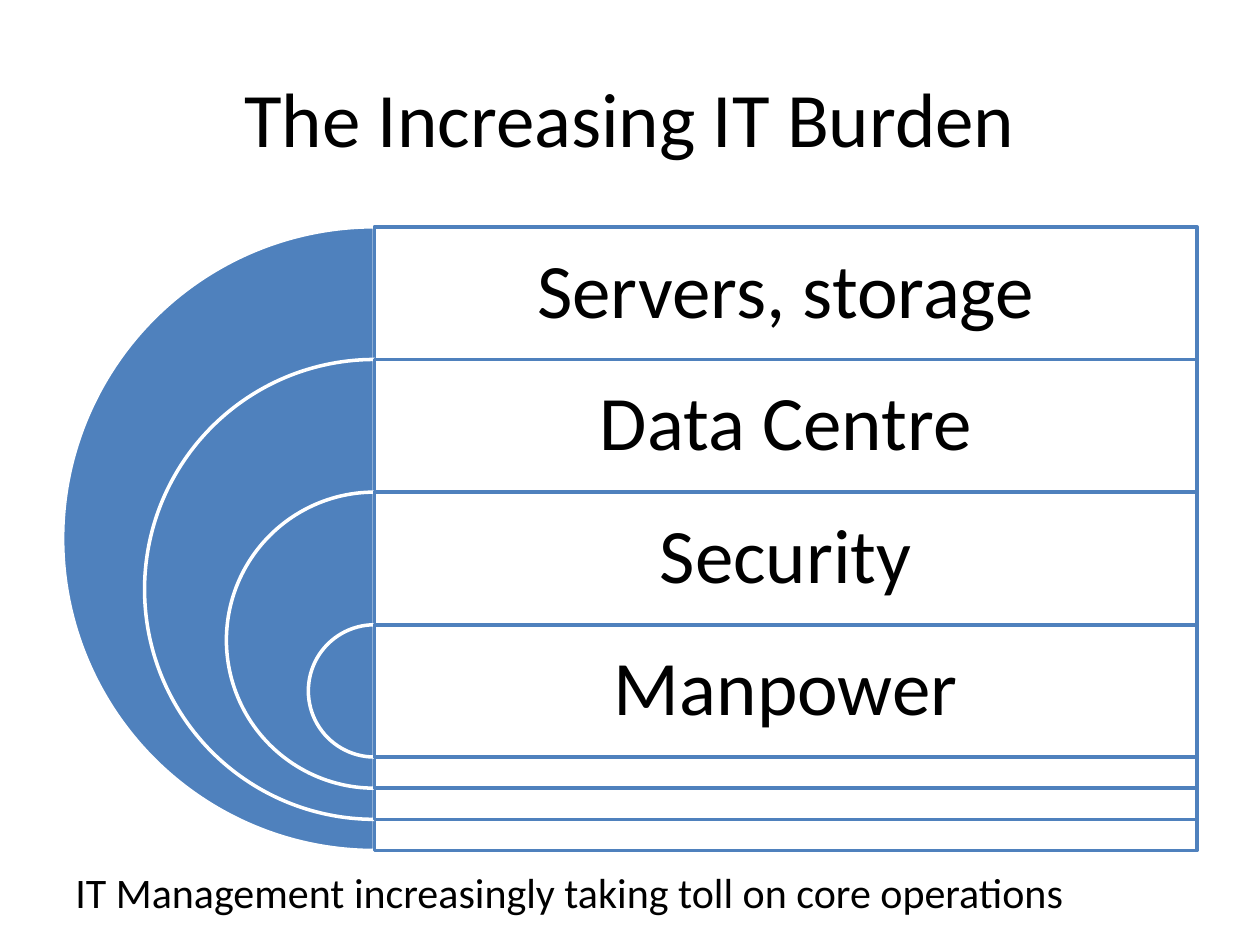
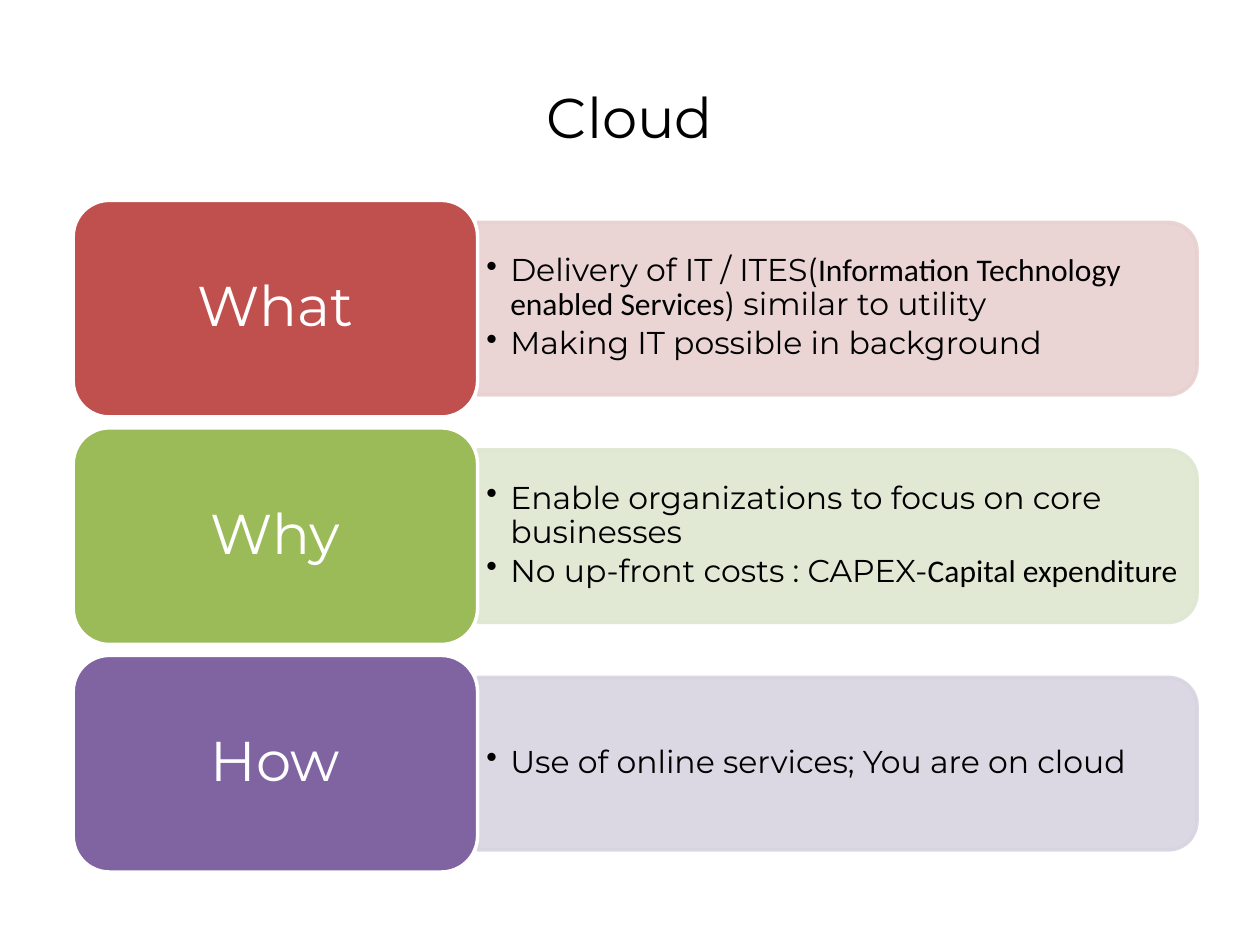
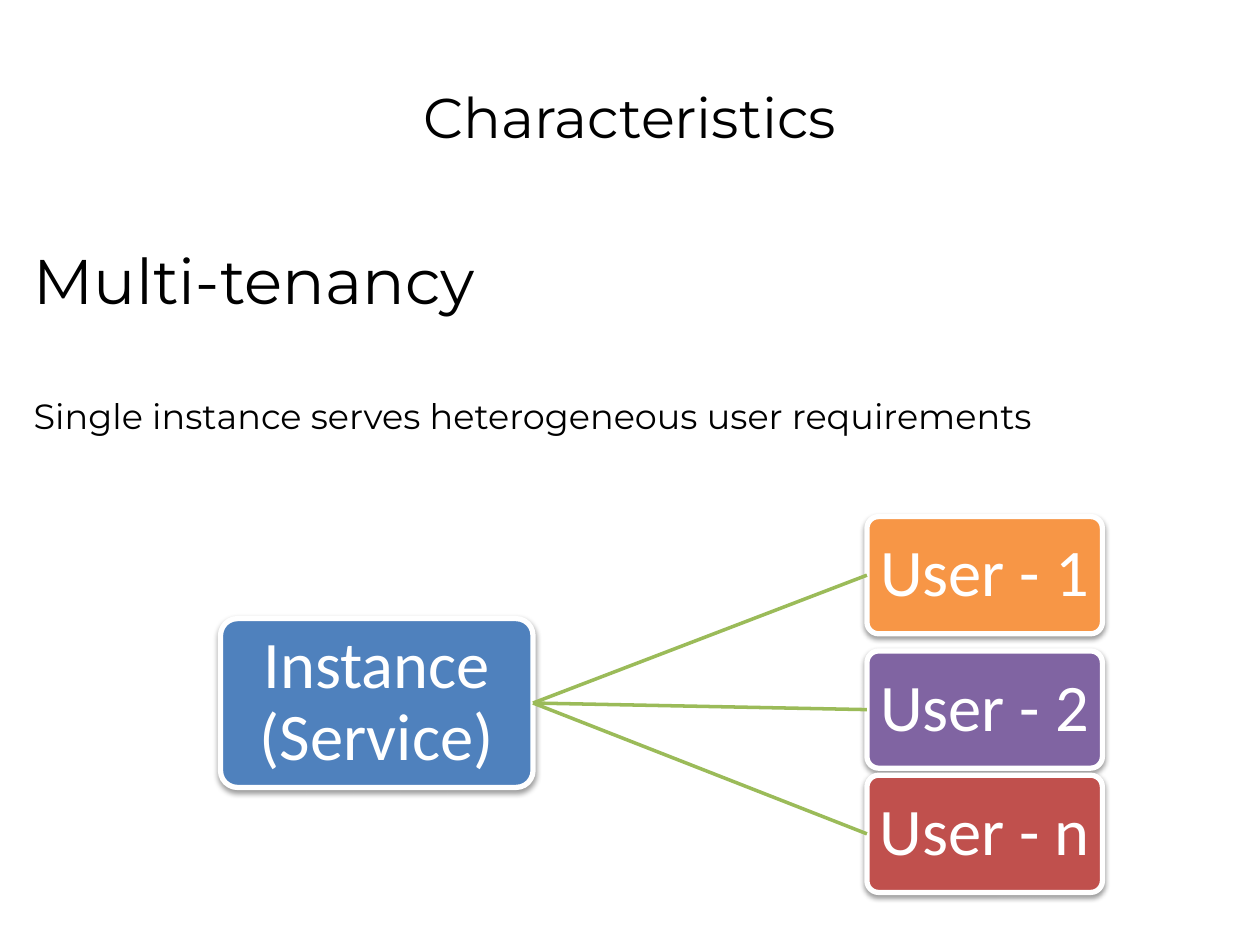
"""Build three slides on the IT burden, the cloud and multi-tenancy."""
from dataclasses import dataclass
from typing import Optional

from lxml.etree import SubElement
from pptx import Presentation
from pptx.dml.color import RGBColor
from pptx.enum.shapes import MSO_CONNECTOR, MSO_SHAPE
from pptx.enum.text import MSO_ANCHOR, PP_ALIGN
from pptx.oxml.ns import qn
from pptx.util import Pt

COLORS = {
    "black": "000000",
    "white": "FFFFFF",
    "blue": "4F81BD",
    "red": "C0504D",
    "green": "9BBB59",
    "purple": "8064A2",
    "orange": "F79646",
    "pale red": "E8D0D0",
    "pale green": "DEE7D1",
    "pale purple": "D8D3E0",
}
CALIBRI = "Calibri"
MONTSERRAT = "Montserrat"


@dataclass(frozen=True)
class Box:
    left: float
    top: float
    width: float
    height: float


@dataclass(frozen=True)
class TextStyle:
    size: float
    font: str = CALIBRI
    color: str = "black"
    align: PP_ALIGN = PP_ALIGN.CENTER
    anchor: MSO_ANCHOR = MSO_ANCHOR.MIDDLE
    line_spacing: Optional[float] = None
    insets: tuple[float, float] = (7.2, 3.6)
    bullet_indent: float = 0
    space_after: float = 0


@dataclass(frozen=True)
class Line:
    runs: tuple[tuple[str, Optional[str]], ...]
    size: Optional[float] = None
    space_before: float = 0


@dataclass(frozen=True)
class Topic:
    label: str
    color: str
    panel_color: str
    lines: tuple[Line, ...]


@dataclass(frozen=True)
class User:
    name: str
    color: str
    top: float


TITLE_BOX = Box(36, 21.6, 648, 90)
BURDENS = ("Servers, storage", "Data Centre", "Security", "Manpower")
BURDEN_STYLE = TextStyle(44, line_spacing=0.9, insets=(13, 13))
CAPTION_STYLE = TextStyle(24, align=PP_ALIGN.LEFT, anchor=MSO_ANCHOR.TOP)
TOPICS = (
    Topic("What", "red", "pale red", (
        Line((("Delivery of IT / ITES(", None),
              ("Information Technology enabled Services", CALIBRI),
              (") similar to utility", None))),
        Line((("Making IT possible in background", None),)),
    )),
    Topic("Why", "green", "pale green", (
        Line((("Enable organizations to focus on core businesses", None),)),
        Line((("No up-front costs : CAPEX-", None),
              ("Capital expenditure", CALIBRI))),
    )),
    Topic("How", "purple", "pale purple", (
        Line((("Use of online services; You are on cloud", None),)),
    )),
)
TOPIC_STYLE = TextStyle(32, MONTSERRAT, "white", line_spacing=0.9)
DETAIL_STYLE = TextStyle(18, MONTSERRAT, align=PP_ALIGN.LEFT, line_spacing=0.9,
                         insets=(5, 2.9), bullet_indent=13.7, space_after=2.7)
USERS = (
    User("User - 1", "orange", 295.2),
    User("User - 2", "purple", 372),
    User("User - n", "red", 443),
)
NODE_STYLE = TextStyle(38, color="white", line_spacing=0.9, insets=(2.2, 2.2))
BODY_STYLE = TextStyle(36, MONTSERRAT, align=PP_ALIGN.LEFT, anchor=MSO_ANCHOR.TOP)


def plain(text: str, size: Optional[float] = None, space_before: float = 0) -> Line:
    """Return a line made of a single run."""
    return Line(((text, None),), size, space_before)


def write_text(shape, lines: tuple[Line, ...], style: TextStyle) -> None:
    """Fill the text frame of a shape, run by run."""
    frame = shape.text_frame
    frame.word_wrap = True
    frame.vertical_anchor = style.anchor
    frame.margin_left = frame.margin_right = Pt(style.insets[0])
    frame.margin_top = frame.margin_bottom = Pt(style.insets[1])
    for index, line in enumerate(lines):
        paragraph = frame.add_paragraph() if index else frame.paragraphs[0]
        if style.bullet_indent:
            properties = paragraph._p.get_or_add_pPr()
            indent = Pt(style.bullet_indent)
            properties.set("marL", str(indent))
            properties.set("indent", str(-indent))
            SubElement(properties, qn("a:buChar")).set("char", "•")
        paragraph.alignment = style.align
        if style.line_spacing:
            paragraph.line_spacing = style.line_spacing
        if style.space_after:
            paragraph.space_after = Pt(style.space_after)
        if line.space_before:
            paragraph.space_before = Pt(line.space_before)
        for text, font_name in line.runs:
            run = paragraph.add_run()
            run.text = text
            run.font.name = font_name or style.font
            run.font.size = Pt(line.size or style.size)
            run.font.color.rgb = RGBColor.from_string(COLORS[style.color])


def add_text(slide, box: Box, lines: tuple[Line, ...], style: TextStyle) -> None:
    """Add a text box."""
    shape = slide.shapes.add_textbox(
        Pt(box.left), Pt(box.top), Pt(box.width), Pt(box.height))
    write_text(shape, lines, style)


def add_title(slide, text: str, size: float, font: str) -> None:
    """Add the centred slide title."""
    add_text(slide, TITLE_BOX, (plain(text),), TextStyle(size, font))


def set_opacity(fill_format, percent: int) -> None:
    """Make a solid fill partly transparent."""
    color = fill_format._xPr.find(qn("a:solidFill"))[0]
    SubElement(color, qn("a:alpha")).set("val", str(percent * 1000))


def add_figure(slide, preset: MSO_SHAPE, box: Box, fill: str, line: str,
               line_width: float = 2, adjustments: tuple[float, ...] = ()):
    """Add a preset shape with a solid fill and outline."""
    shape = slide.shapes.add_shape(
        preset, Pt(box.left), Pt(box.top), Pt(box.width), Pt(box.height))
    shape.shadow.inherit = False
    shape.fill.solid()
    shape.fill.fore_color.rgb = RGBColor.from_string(COLORS[fill])
    shape.line.color.rgb = RGBColor.from_string(COLORS[line])
    shape.line.width = Pt(line_width)
    for index, value in enumerate(adjustments):
        shape.adjustments[index] = value
    return shape


def add_node(slide, box: Box, text: str, color: str):
    """Add a rounded diagram node with a soft shadow."""
    node = add_figure(slide, MSO_SHAPE.ROUNDED_RECTANGLE, box, color, "white", 3, (0.1,))
    effects = node._element.spPr.find(qn("a:effectLst"))
    shadow = SubElement(effects, qn("a:outerShdw"), blurRad=str(Pt(3.1)),
                        dist=str(Pt(1.6)), dir="5400000", rotWithShape="0")
    color_element = SubElement(shadow, qn("a:srgbClr"), val=COLORS["black"])
    SubElement(color_element, qn("a:alpha"), val="38000")
    write_text(node, (plain(text),), NODE_STYLE)
    return node


def add_link(slide, source, target) -> None:
    """Join the right side of one node to the left side of another."""
    connector = slide.shapes.add_connector(MSO_CONNECTOR.STRAIGHT, 0, 0, 0, 0)
    connector.begin_connect(source, 3)
    connector.end_connect(target, 1)
    connector.line.color.rgb = RGBColor.from_string(COLORS["green"])
    connector.line.width = Pt(2)
    SubElement(connector._element.spPr, qn("a:effectLst"))


def build_burden_slide(slide) -> None:
    """Draw nested half circles with one band per burden."""
    add_title(slide, "The Increasing IT Burden", 44, CALIBRI)
    center, first_top, band_height, band_width = 214, 129.6, 75.8, 470
    for index, burden in enumerate(BURDENS):
        top = first_top + index * band_height
        diameter = 356.4 - index * 93.6
        add_figure(slide, MSO_SHAPE.PIE,
                   Box(center - diameter / 2, top, diameter, diameter),
                   "blue", "white", adjustments=(54, 162))
        band = add_figure(slide, MSO_SHAPE.RECTANGLE,
                          Box(center, top, band_width, diameter), "white", "blue")
        set_opacity(band.fill, 90)
        add_text(slide, Box(center, top, band_width, band_height),
                 (plain(burden),), BURDEN_STYLE)
    add_text(slide, Box(36, 491.8, 660, 48),
             (plain("IT Management increasingly taking toll on core operations"),),
             CAPTION_STYLE)


def build_cloud_slide(slide) -> None:
    """Draw a label and a detail panel for each topic."""
    add_title(slide, "Cloud", 32, MONTSERRAT)
    label_left, label_width, label_height = 41.8, 231.1, 123.8
    panel_left, panel_width, panel_height = 272.9, 411.1, 98.6
    for index, topic in enumerate(TOPICS):
        top = 114.5 + index * 130
        middle = top + label_height / 2
        panel = add_figure(
            slide, MSO_SHAPE.ROUND_2_SAME_RECTANGLE,
            Box(panel_left + (panel_width - panel_height) / 2,
                middle - panel_width / 2, panel_height, panel_width),
            topic.panel_color, topic.panel_color)
        panel.rotation = 90
        set_opacity(panel.fill, 90)
        set_opacity(panel.line.fill, 90)
        add_text(slide, Box(panel_left, middle - 45, 406, 89.3), topic.lines, DETAIL_STYLE)
        label = add_figure(slide, MSO_SHAPE.ROUNDED_RECTANGLE,
                           Box(label_left, top, label_width, label_height),
                           topic.color, "white")
        write_text(label, (plain(topic.label),), TOPIC_STYLE)


def build_characteristics_slide(slide) -> None:
    """Draw one service instance linked to its users."""
    add_title(slide, "Characteristics", 32, MONTSERRAT)
    add_text(slide, Box(12.2, 134.6, 686.9, 118.8),
             (plain("Multi-tenancy"),
              plain("Single instance serves heterogeneous user requirements", 20, 43.9)),
             BODY_STYLE)
    instance = add_node(slide, Box(126, 353.5, 178.6, 96.5), "Instance (Service)", "blue")
    for user in USERS:
        node = add_node(slide, Box(495.4, user.top, 134.6, 67), user.name, user.color)
        add_link(slide, instance, node)


def main() -> None:
    """Build and save the presentation."""
    presentation = Presentation()
    presentation.slide_width = Pt(720)
    presentation.slide_height = Pt(540)
    blank_layout = presentation.slide_layouts[6]
    for build in (build_burden_slide, build_cloud_slide, build_characteristics_slide):
        build(presentation.slides.add_slide(blank_layout))
    presentation.save("out.pptx")


if __name__ == "__main__":
    main()
